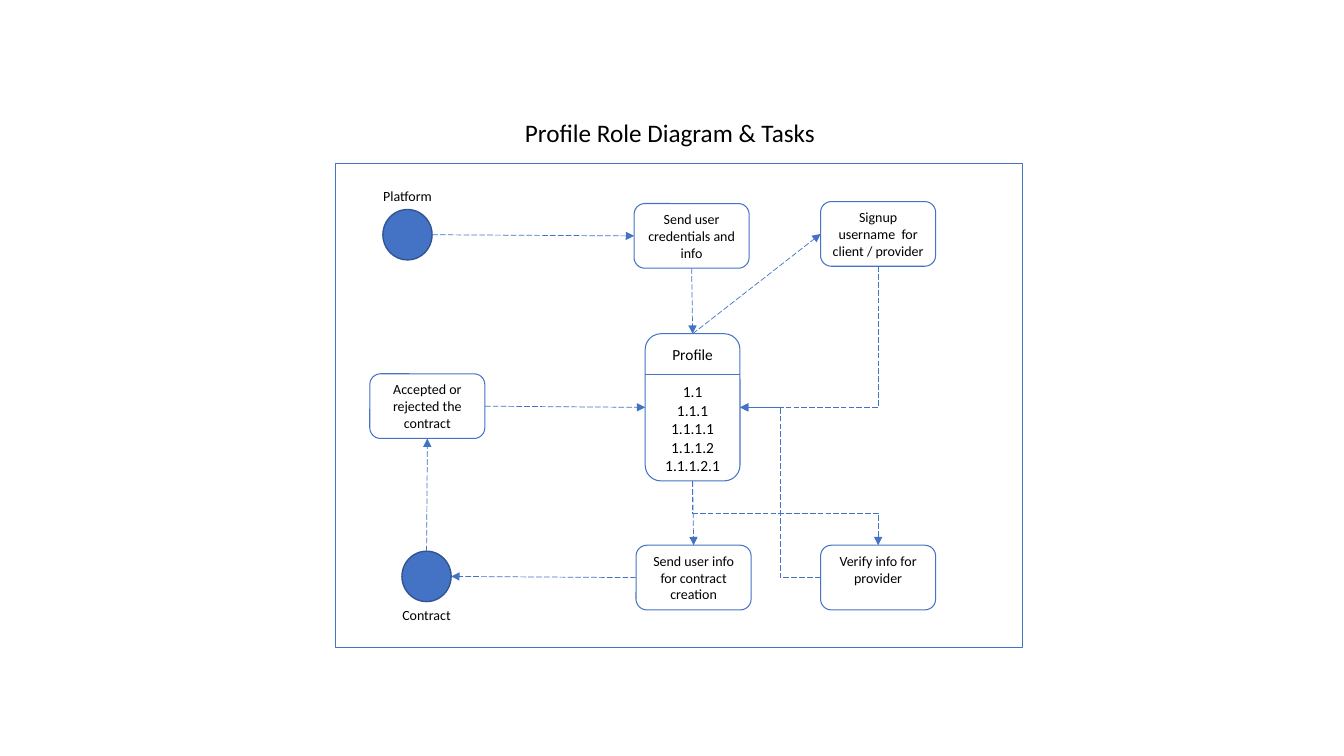
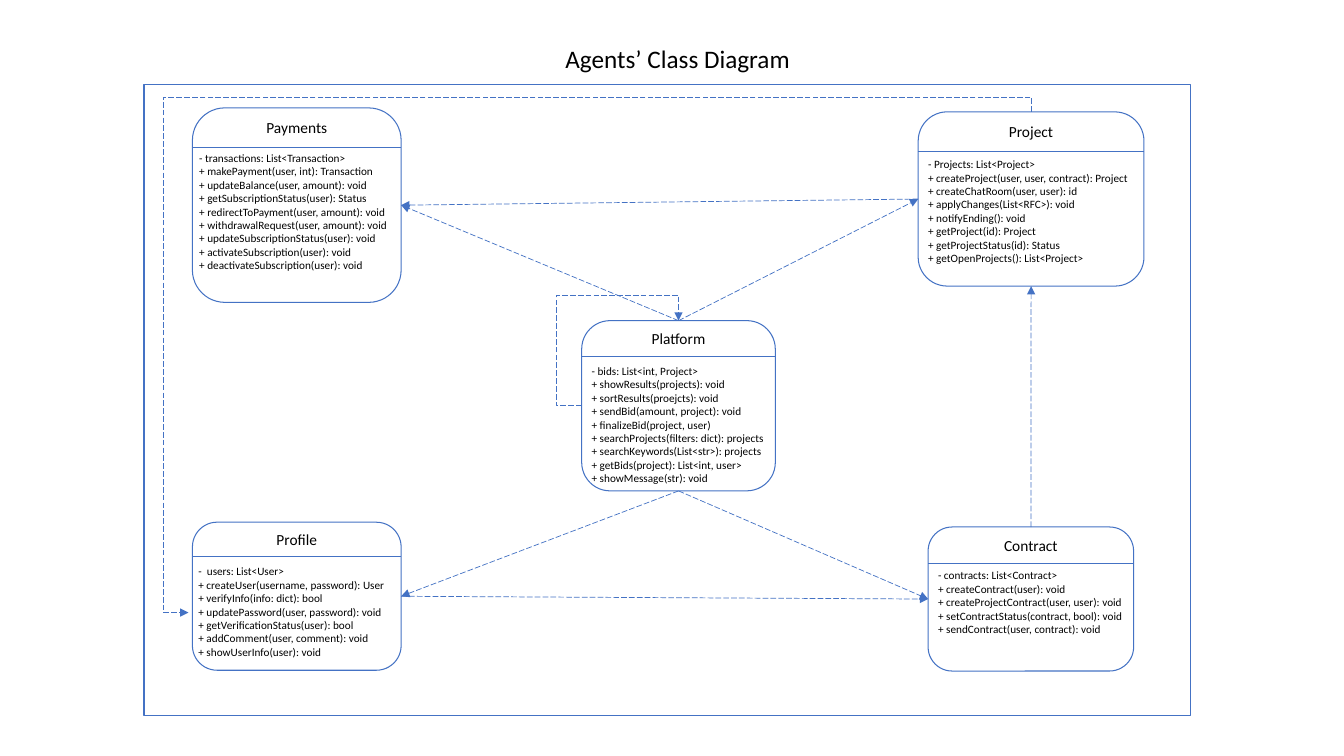
from lxml import etree
from pptx import Presentation
from pptx.dml.color import RGBColor
from pptx.enum.dml import MSO_LINE
from pptx.enum.shapes import MSO_CONNECTOR as LINK, MSO_SHAPE as SHAPE
from pptx.enum.text import MSO_ANCHOR as ANCHOR, PP_ALIGN as ALIGN
from pptx.oxml.ns import qn
from pptx.util import Cm, Pt

# Shared style
FONT = "Calibri"
BLUE, DARK_BLUE, BLACK = "4472C4", "325491", "000000"
TITLE_SIZE, NAME_SIZE, TASK_SIZE, MEMBER_SIZE = 18, 11, 10, 8
INSET_X, INSET_Y = 0.25, 0.13
TASK_WIDTH, TASK_HEIGHT = 2.9, 1.63
ACTOR_WIDTH, ACTOR_HEIGHT = 1.24, 1.27
LABEL_WIDTH, LABEL_HEIGHT = 2.2, 0.69
TOP, LEFT, BOTTOM, RIGHT = range(4)


def color(hex_code):
    return RGBColor.from_string(hex_code)


# Text
def write(shape, lines, size, align=ALIGN.LEFT, anchor=ANCHOR.TOP,
          margins=(INSET_X, INSET_Y, INSET_X, INSET_Y)):
    frame = shape.text_frame
    frame.word_wrap = True
    frame.vertical_anchor = anchor
    (frame.margin_left, frame.margin_top,
     frame.margin_right, frame.margin_bottom) = map(Cm, margins)
    for index, line in enumerate(lines):
        paragraph = frame.add_paragraph() if index else frame.paragraphs[0]
        paragraph.alignment = align
        run = paragraph.add_run()
        run.text = line
        run.font.name = FONT
        run.font.size = Pt(size)
        run.font.color.rgb = color(BLACK)


def add_text(slide, box, lines, size, **style):
    text = slide.shapes.add_textbox(*map(Cm, box))
    write(text, lines, size, **style)
    return text


def add_title(slide, left, top, title):
    add_text(slide, (left, top, 8, 1.02), [title], TITLE_SIZE)


# Shapes
def add_outline(slide, kind, box, line=BLUE, weight=0.75, fill=None):
    shape = slide.shapes.add_shape(kind, *map(Cm, box))
    shape.shadow.inherit = False
    if fill:
        shape.fill.solid()
        shape.fill.fore_color.rgb = color(fill)
    else:
        shape.fill.background()
    shape.line.color.rgb = color(line)
    shape.line.width = Pt(weight)
    return shape


def add_task(slide, left, top, text):
    task = add_outline(slide, SHAPE.ROUNDED_RECTANGLE,
                       (left, top, TASK_WIDTH, TASK_HEIGHT))
    write(task, [text], TASK_SIZE, ALIGN.CENTER, margins=(0.18, 0.1, 0.18, 0))
    return task


def add_actor(slide, left, top, name, label_above):
    actor = add_outline(slide, SHAPE.FLOWCHART_CONNECTOR,
                        (left, top, ACTOR_WIDTH, ACTOR_HEIGHT),
                        DARK_BLUE, 1, BLUE)
    label_top = top - LABEL_HEIGHT if label_above else top + ACTOR_HEIGHT
    label_left = left + (ACTOR_WIDTH - LABEL_WIDTH) / 2
    add_text(slide, (label_left, label_top, LABEL_WIDTH, LABEL_HEIGHT),
             [name], TASK_SIZE, align=ALIGN.CENTER)
    return actor


def add_class(slide, name, box, heading, members, shift=0, gap=0.08,
              size=MEMBER_SIZE, align=ALIGN.LEFT):
    """Draw a class box; return its outline and its member list."""
    left, top, width, _ = box
    outline = add_outline(slide, SHAPE.ROUNDED_RECTANGLE, box)
    divider = top + heading
    add_line(slide, (Cm(left), Cm(divider)), (Cm(left + width), Cm(divider)))
    add_text(slide, (left, top, width, heading), [name], NAME_SIZE,
             align=ALIGN.CENTER, anchor=ANCHOR.MIDDLE)
    right_inset = INSET_X if align == ALIGN.CENTER else 0
    height = len(members) * Pt(size).cm * 1.22 + 2 * INSET_Y
    listing = add_text(slide, (left + shift, divider + gap, width, height),
                       members, size, align=align,
                       margins=(INSET_X, INSET_Y, right_inset, INSET_Y))
    return outline, listing


# Lines and arrows
def add_line(slide, start, end, kind=LINK.STRAIGHT):
    line = slide.shapes.add_connector(kind, *start, *end)
    line.line.color.rgb = color(BLUE)
    line.line.width = Pt(0.5)
    etree.SubElement(line._element.spPr, qn("a:effectLst"))
    return line


def side_point(shape, side):
    across = {LEFT: 0, RIGHT: shape.width}.get(side, shape.width // 2)
    down = {TOP: 0, BOTTOM: shape.height}.get(side, shape.height // 2)
    return shape.left + across, shape.top + down


def is_round(shape):
    outline = shape._element.spPr.find(qn("a:prstGeom"))
    return outline.get("prst") == "flowChartConnector"


def add_arrow(slide, source, source_side, target, target_side,
              kind=LINK.STRAIGHT):
    arrow = add_line(slide, side_point(source, source_side),
                     side_point(target, target_side), kind)
    arrow.line.dash_style = MSO_LINE.LONG_DASH
    etree.SubElement(arrow.line._get_or_add_ln(), qn("a:tailEnd"),
                     type="triangle")
    if not is_round(source):
        arrow.begin_connect(source, source_side)
    if not is_round(target):
        arrow.end_connect(target, target_side)
    return arrow


def add_elbow(slide, source, source_side, target, target_side, preset,
              turn, flips="", bends=()):
    arrow = add_arrow(slide, source, source_side, target, target_side,
                      LINK.ELBOW)
    # A quarter turn swaps the width and height around the same centre
    (x1, y1), (x2, y2) = (side_point(source, source_side),
                          side_point(target, target_side))
    width, height = abs(x2 - x1), abs(y2 - y1)
    if turn in (90, 270):
        width, height = height, width
    arrow.left, arrow.top = (x1 + x2 - width) // 2, (y1 + y2 - height) // 2
    arrow.width, arrow.height = width, height
    properties = arrow._element.spPr
    placement = properties.find(qn("a:xfrm"))
    placement.set("rot", str(turn * 60000))
    placement.set("flipH", str(int("h" in flips)))
    placement.set("flipV", str(int("v" in flips)))
    route = properties.find(qn("a:prstGeom"))
    route.set("prst", preset)
    guides = route.find(qn("a:avLst"))
    if guides is None:
        guides = etree.SubElement(route, qn("a:avLst"))
    for number, bend in enumerate(bends, 1):
        etree.SubElement(guides, qn("a:gd"), name=f"adj{number}",
                         fmla=f"val {round(bend * 100000)}")


# Slides
def build_role_diagram(slide):
    add_title(slide, 12.98, 2.82, "Profile Role Diagram & Tasks")
    add_outline(slide, SHAPE.RECTANGLE, (8.46, 4.11, 17.3, 12.22))
    profile, _ = add_class(
        slide, "Profile", (16.26, 8.41, 2.39, 3.71), 1.02,
        ["1.1", "1.1.1", "1.1.1.1", "1.1.1.2", "1.1.1.2.1"],
        size=NAME_SIZE, align=ALIGN.CENTER)
    platform = add_actor(slide, 9.65, 5.28, "Platform", True)
    contract = add_actor(slide, 10.13, 13.89, "Contract", False)
    credentials = add_task(slide, 15.98, 5.13, "Send user credentials and info")
    signup = add_task(slide, 20.68, 5.08,
                      "Signup username  for client / provider")
    decision = add_task(slide, 9.32, 9.42, "Accepted or rejected the contract")
    creation = add_task(slide, 16.03, 13.74,
                        "Send user info for contract creation")
    verify = add_task(slide, 20.68, 13.74, "Verify info for provider")

    for ends in (
        (platform, RIGHT, credentials, LEFT),
        (credentials, BOTTOM, profile, TOP),
        (profile, TOP, signup, LEFT),
        (profile, BOTTOM, creation, TOP),
        (creation, LEFT, contract, RIGHT),
        (contract, TOP, decision, BOTTOM),
        (decision, RIGHT, profile, LEFT),
    ):
        add_arrow(slide, *ends)
    add_elbow(slide, signup, BOTTOM, profile, RIGHT, "bentConnector2", 90)
    add_elbow(slide, profile, BOTTOM, verify, TOP, "bentConnector3", 270,
              "h", [0.5])
    add_elbow(slide, verify, LEFT, profile, RIGHT, "bentConnector3", 180,
              bends=[0.5])


def build_class_diagram(slide):
    add_title(slide, 14, 0.97, "Agents’ Class Diagram")
    add_outline(slide, SHAPE.RECTANGLE, (3.63, 2.13, 26.37, 15.9))
    platform, _ = add_class(slide, "Platform", (14.66, 8.08, 4.88, 4.29), 0.89, [
        "- bids: List<int, Project>",
        "+ showResults(projects): void",
        "+ sortResults(proejcts): void",
        "+ sendBid(amount, project): void",
        "+ finalizeBid(project, user)",
        "+ searchProjects(filters: dict): projects",
        "+ searchKeywords(List<str>): projects",
        "+ getBids(project): List<int, user>",
        "+ showMessage(str): void",
    ])
    project, _ = add_class(slide, "Project", (23.14, 2.82, 5.69, 4.39), 0.99, [
        "- Projects: List<Project>",
        "+ createProject(user, user, contract): Project",
        "+ createChatRoom(user, user): id",
        "+ applyChanges(List<RFC>): void",
        "+ notifyEnding(): void",
        "+ getProject(id): Project",
        "+ getProjectStatus(id): Status",
        "+ getOpenProjects(): List<Project>",
    ], gap=0.03)
    profile, profile_members = add_class(
        slide, "Profile", (4.85, 13.16, 5.26, 3.73), 0.86, [
            "-  users: List<User>",
            "+ createUser(username, password): User",
            "+ verifyInfo(info: dict): bool",
            "+ updatePassword(user, password): void",
            "+ getVerificationStatus(user): bool",
            "+ addComment(user, comment): void",
            "+ showUserInfo(user): void",
        ], shift=-0.1)
    contract, _ = add_class(slide, "Contract", (23.39, 13.28, 5.18, 3.63), 0.92, [
        "- contracts: List<Contract>",
        "+ createContract(user): void",
        "+ createProjectContract(user, user): void",
        "+ setContractStatus(contract, bool): void",
        "+ sendContract(user, contract): void",
    ], gap=0)
    payments, _ = add_class(slide, "Payments", (4.85, 2.72, 5.26, 4.9), 0.99, [
        "- transactions: List<Transaction>",
        "+ makePayment(user, int): Transaction",
        "+ updateBalance(user, amount): void",
        "+ getSubscriptionStatus(user): Status",
        "+ redirectToPayment(user, amount): void",
        "+ withdrawalRequest(user, amount): void",
        "+ updateSubscriptionStatus(user): void",
        "+ activateSubscription(user): void",
        "+ deactivateSubscription(user): void",
    ], shift=-0.08, gap=-0.03)

    for ends in (
        (platform, TOP, project, LEFT),
        (platform, TOP, payments, RIGHT),
        (platform, BOTTOM, contract, LEFT),
        (platform, BOTTOM, profile, RIGHT),
        (profile, RIGHT, contract, LEFT),
        (contract, TOP, project, BOTTOM),
        (project, LEFT, payments, RIGHT),
    ):
        add_arrow(slide, *ends)
    add_elbow(slide, platform, LEFT, platform, TOP, "bentConnector4", 180,
              "h", [-0.26, 1.3])
    add_elbow(slide, project, TOP, profile_members, LEFT, "bentConnector4",
              270, "hv", [-0.03, 1.03])


def main():
    deck = Presentation()
    deck.slide_width, deck.slide_height = Cm(33.87), Cm(19.05)
    for build in (build_role_diagram, build_class_diagram):
        build(deck.slides.add_slide(deck.slide_layouts[6]))
    deck.save("out.pptx")


if __name__ == "__main__":
    main()
